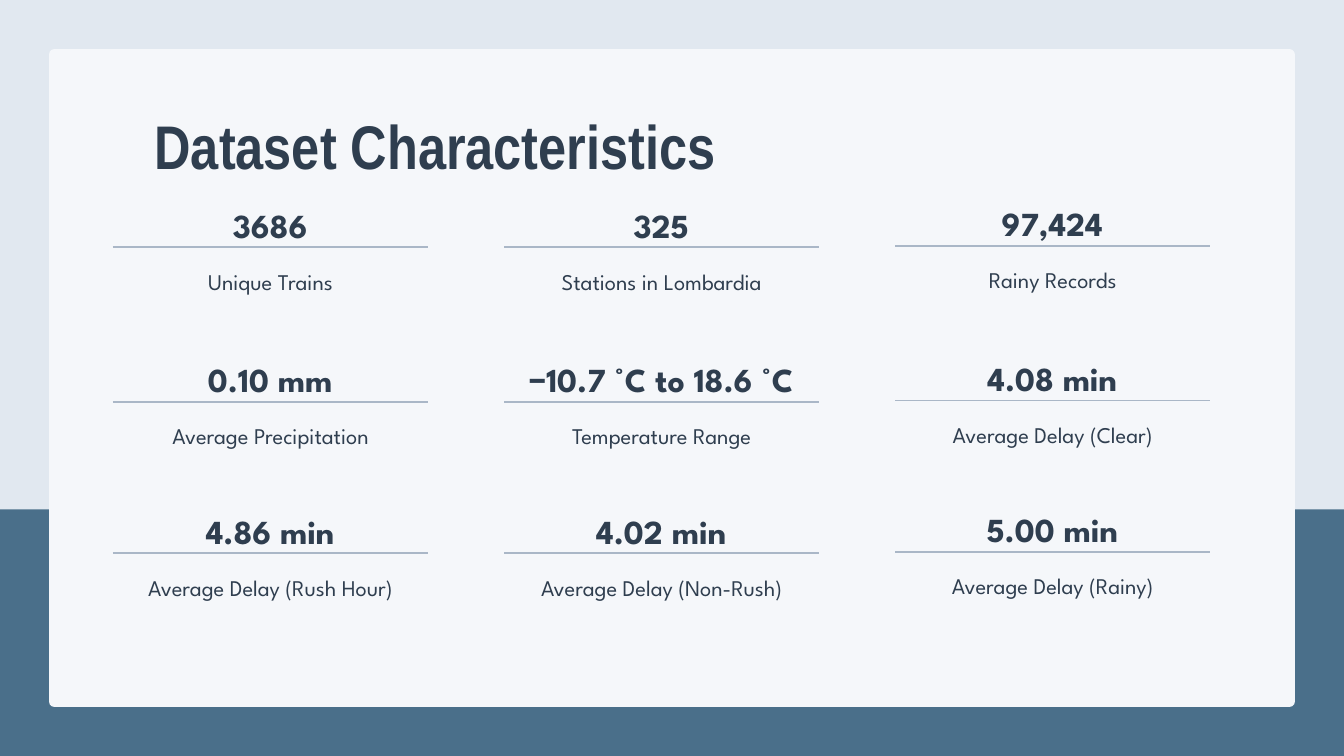
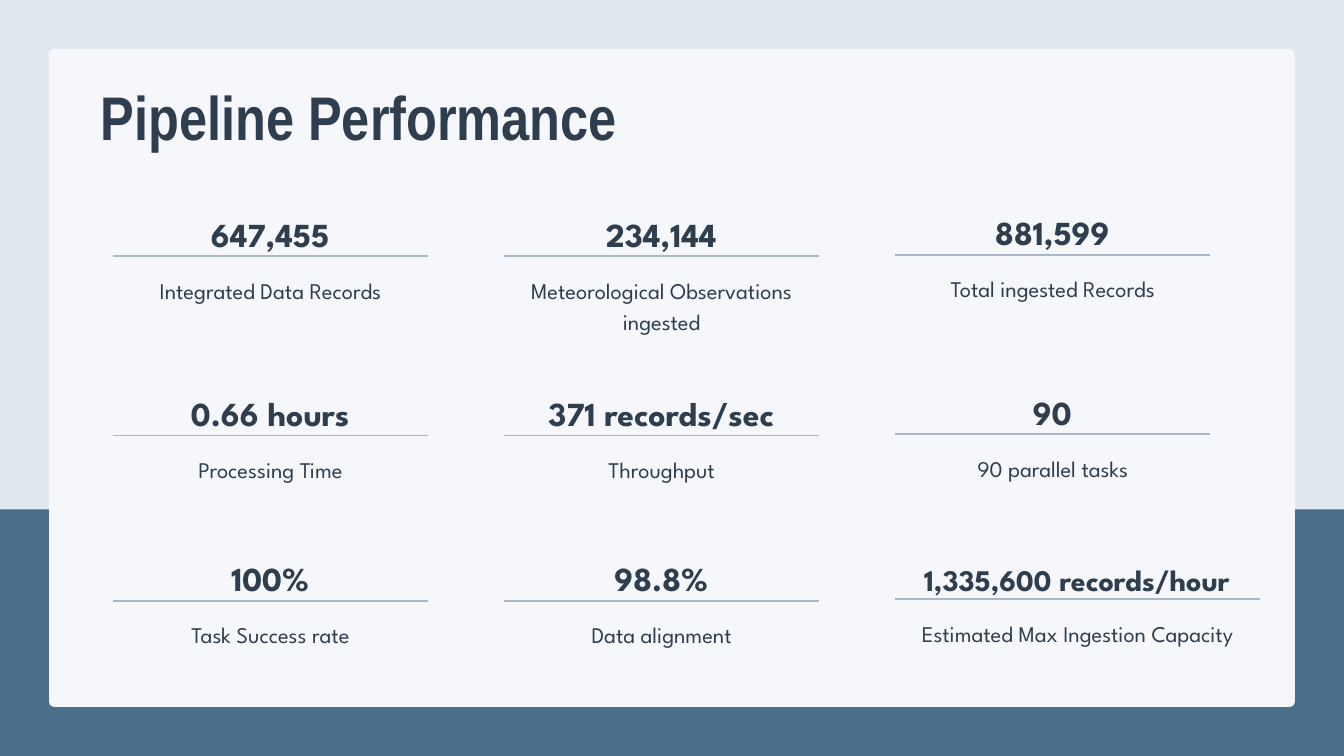
from dataclasses import dataclass

from lxml.etree import SubElement
from pptx import Presentation
from pptx.dml.color import RGBColor
from pptx.enum.shapes import MSO_CONNECTOR, MSO_SHAPE
from pptx.enum.text import MSO_ANCHOR, MSO_AUTO_SIZE, PP_ALIGN
from pptx.oxml.ns import qn
from pptx.util import Inches, Pt


@dataclass(frozen=True)
class Theme:
    sky: RGBColor = RGBColor.from_string("E1E8F0")
    band: RGBColor = RGBColor.from_string("4A6F8A")
    card: RGBColor = RGBColor.from_string("F5F7FA")
    ink: RGBColor = RGBColor.from_string("2F3E4F")
    rule: RGBColor = RGBColor.from_string("AAB7C7")
    title_font: str = "Arial Narrow"
    body_font: str = "League Spartan"
    title_size: float = 66
    value_size: float = 36
    long_value_size: float = 32
    label_size: float = 24
    title_spacing: float = 79.2
    body_spacing: float = 33.6


@dataclass(frozen=True)
class Stat:
    value: str
    label: str
    width: float = 4.7
    size: float = Theme.value_size


@dataclass(frozen=True)
class StatRow:
    top: float
    stats: tuple
    label_height: float = 0.44


THEME = Theme()
PAGE_WIDTH, PAGE_HEIGHT = 20, 11.25
BAND_TOP = 7.58
CARD_MARGIN = 0.73
CARD_RADIUS = 0.08
GRID_LEFT, COLUMN_PITCH = 1.67, 5.82
LAST_COLUMN_LIFT = 0.02

DATASET_ROWS = (
    StatRow(3.18, (
        Stat("3686", "Unique Trains"),
        Stat("325", "Stations in Lombardia"),
        Stat("97,424", "Rainy Records"))),
    StatRow(5.48, (
        Stat("0.10 mm", "Average Precipitation"),
        Stat("−10.7 °C to 18.6 °C", "Temperature Range"),
        Stat("4.08 min", "Average Delay (Clear)"))),
    StatRow(7.73, (
        Stat("4.86 min", "Average Delay (Rush Hour)"),
        Stat("4.02 min", "Average Delay (Non-Rush)"),
        Stat("5.00 min", "Average Delay (Rainy)"))),
)
PIPELINE_ROWS = (
    StatRow(3.31, (
        Stat("647,455", "Integrated Data Records"),
        Stat("234,144", "Meteorological Observations ingested"),
        Stat("881,599", "Total ingested Records")), label_height=0.92),
    StatRow(5.98, (
        Stat("0.66 hours", "Processing Time"),
        Stat("371 records/sec", "Throughput"),
        Stat("90", "90 parallel tasks"))),
    StatRow(8.44, (
        Stat("100%", "Task Success rate"),
        Stat("98.8%", "Data alignment"),
        Stat("1,335,600 records/hour", "Estimated Max Ingestion Capacity",
             width=5.44, size=THEME.long_value_size))),
)


def write_text(shape, text, font, size, spacing, bold=False, align=PP_ALIGN.CENTER):
    frame = shape.text_frame
    frame.word_wrap = True
    frame.auto_size = MSO_AUTO_SIZE.SHAPE_TO_FIT_TEXT
    frame.vertical_anchor = MSO_ANCHOR.TOP
    frame.margin_left = frame.margin_top = frame.margin_right = frame.margin_bottom = 0
    para = frame.paragraphs[0]
    para.alignment = align
    para.line_spacing = Pt(spacing)
    span = para.add_run()
    span.text = text
    span.font.name = font
    span.font.size = Pt(size)
    span.font.bold = bold
    span.font.color.rgb = THEME.ink


def add_panel(page, preset, left, top, width, height, color):
    panel = page.shapes.add_shape(
        preset, Inches(left), Inches(top), Inches(width), Inches(height))
    panel.shadow.inherit = False
    panel.fill.solid()
    panel.fill.fore_color.rgb = color
    panel.line.fill.background()
    return panel


def add_backdrop(page):
    # Lower band across the page
    add_panel(page, MSO_SHAPE.RECTANGLE, 0, BAND_TOP,
              PAGE_WIDTH, PAGE_HEIGHT - BAND_TOP, THEME.band)
    # Card with slightly rounded corners
    height = PAGE_HEIGHT - 2 * CARD_MARGIN
    card = add_panel(page, MSO_SHAPE.ROUNDED_RECTANGLE, CARD_MARGIN, CARD_MARGIN,
                     PAGE_WIDTH - 2 * CARD_MARGIN, height, THEME.card)
    card.adjustments[0] = CARD_RADIUS / height


def place_title(page, text, left, top):
    title = page.shapes.title
    title.left, title.top = Inches(left), Inches(top)
    title.width, title.height = Inches(13.82), Inches(1.11)
    write_text(title, text, THEME.title_font, THEME.title_size,
               THEME.title_spacing, bold=True, align=PP_ALIGN.LEFT)
    # Bring the title in front of the card
    page.shapes.element.append(title.element)


def add_stat(group, stat, left, top, label_height):
    # Value
    value = group.shapes.add_textbox(
        Inches(left), Inches(top), Inches(stat.width), Inches(0.48))
    write_text(value, stat.value, THEME.body_font, stat.size,
               THEME.body_spacing, bold=True)
    # Label
    label = group.shapes.add_textbox(
        Inches(left + 0.01), Inches(top + 0.74),
        Inches(stat.width - 0.01), Inches(label_height))
    write_text(label, stat.label, THEME.body_font, THEME.label_size,
               THEME.body_spacing)
    # Rule between them
    rule_top = Inches(top + 0.5)
    rule = group.shapes.add_connector(
        MSO_CONNECTOR.STRAIGHT, Inches(left + 0.01), rule_top,
        Inches(left + stat.width), rule_top)
    rule.line.color.rgb = THEME.rule
    rule.line.width = Pt(2)
    SubElement(rule.element.spPr, qn("a:effectLst"))


def add_stat_row(page, row):
    group = page.shapes.add_group_shape()
    for column, stat in enumerate(row.stats):
        lift = LAST_COLUMN_LIFT if column == len(row.stats) - 1 else 0
        add_stat(group, stat, GRID_LEFT + column * COLUMN_PITCH,
                 row.top - lift, row.label_height)


def add_stat_page(deck, title, title_left, title_top, rows):
    page = deck.slides.add_slide(deck.slide_layouts.get_by_name("Title Only"))
    page.background.fill.solid()
    page.background.fill.fore_color.rgb = THEME.sky
    add_backdrop(page)
    place_title(page, title, title_left, title_top)
    for row in rows:
        add_stat_row(page, row)


def main():
    deck = Presentation()
    deck.slide_width, deck.slide_height = Inches(PAGE_WIDTH), Inches(PAGE_HEIGHT)
    add_stat_page(deck, "Dataset Characteristics", 2.3, 1.6, DATASET_ROWS)
    add_stat_page(deck, "Pipeline Performance", 1.5, 1.18, PIPELINE_ROWS)
    deck.save("out.pptx")


if __name__ == "__main__":
    main()
